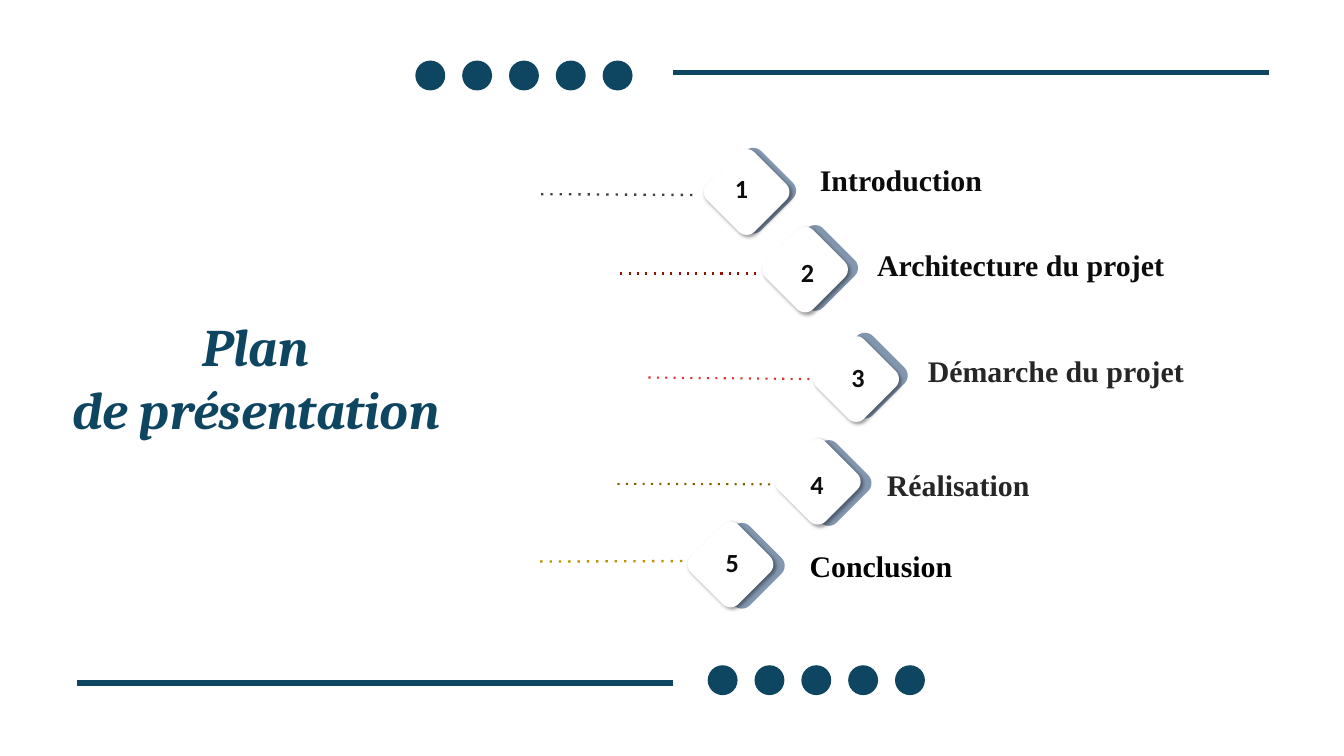
import lxml.etree
import pptx
import pptx.dml.color
import pptx.enum.shapes
import pptx.enum.text
import pptx.oxml
import pptx.oxml.ns
import pptx.util
from collections import namedtuple

Cm = pptx.util.Cm
Pt = pptx.util.Pt
RGBColor = pptx.dml.color.RGBColor
qn = pptx.oxml.ns.qn
SHAPES = pptx.enum.shapes.MSO_SHAPE

NAVY = RGBColor(0x0E, 0x45, 0x61)
SLATE = RGBColor(0x82, 0x96, 0xB0)
WHITE = RGBColor(0xFF, 0xFF, 0xFF)
BLACK = RGBColor(0x00, 0x00, 0x00)
INK = RGBColor(0x0C, 0x0C, 0x0C)
CHARCOAL = RGBColor(0x26, 0x26, 0x26)
GRAY = RGBColor(0x3F, 0x3F, 0x3F)
MAROON = RGBColor(0x94, 0x11, 0x00)
RED = RGBColor(0xD4, 0x38, 0x2D)
OLIVE = RGBColor(0x7F, 0x60, 0x00)
GOLD = RGBColor(0xBF, 0x90, 0x00)

NARROW = (0.25, 0.13)
WIDE = (0.33, 0.18)
TILE = 2.54

SHADOW = (
    '<a:outerShdw xmlns:a="http://schemas.openxmlformats.org/drawingml/2006/main" '
    'blurRad="50800" dist="38100" dir="2700000" algn="tl" rotWithShape="0">'
    '<a:srgbClr val="000000"><a:alpha val="40000"/></a:srgbClr></a:outerShdw>'
)

Step = namedtuple(
    "Step", "label color back front leader leader_color leader_width number box insets spacing"
)
STEPS = [
    Step("Introduction", INK, (27.2, 5.94), (26.95, 5.99), (20.45, 7.34, 26.29, 7.37),
         GRAY, 2.5, (27.53, 6.38), (30.66, 6.2, 20.02, 2.06), WIDE, 0.8),
    Step("Architecture du projet", INK, (29.54, 8.86), (29.16, 8.92), (23.44, 10.34, 28.78, 10.34),
         MAROON, 2.25, (30.02, 9.55), (32.82, 9.42, 18.49, 1.42), WIDE, 0.8),
    Step("Démarche du projet", CHARCOAL, (31.42, 12.93), (31.09, 13.06), (24.51, 14.27, 30.66, 14.33),
         RED, 2.25, (31.93, 13.54), (34.82, 13.21, 16.94, 1.63), NARROW, None),
    Step("Réalisation", CHARCOAL, (30.05, 16.99), (29.64, 16.94), (23.34, 18.29, 29.29, 18.31),
         OLIVE, 2.25, (30.38, 17.58), (33.27, 17.5, 16.94, 1.63), NARROW, None),
    Step("Conclusion", BLACK, (26.77, 20.12), (26.34, 20.07), (20.42, 21.23, 25.81, 21.21),
         GOLD, 2.5, (27.18, 20.52), (30.35, 20.57, 16.41, 1.63), NARROW, None),
]


class PlanSlide:
    def __init__(self, slide):
        self.slide = slide

    def line(self, x1, y1, x2, y2, color, width, dash=None):
        connector = self.slide.shapes.add_connector(
            pptx.enum.shapes.MSO_CONNECTOR.STRAIGHT, Cm(x1), Cm(y1), Cm(x2), Cm(y2)
        )
        connector.line.color.rgb = color
        connector.line.width = Pt(width)
        properties = connector._element.spPr
        if dash:
            outline = properties.find(qn("a:ln"))
            lxml.etree.SubElement(outline, qn("a:prstDash"), val=dash)
        lxml.etree.SubElement(properties, qn("a:effectLst"))

    def shape(self, kind, left, top, size, color):
        shape = self.slide.shapes.add_shape(kind, Cm(left), Cm(top), Cm(size), Cm(size))
        shape.shadow.inherit = False
        shape.fill.solid()
        shape.fill.fore_color.rgb = color
        shape.line.fill.background()
        return shape

    def dots(self, left, top, count=5, size=1.13, pitch=1.77):
        for index in range(count):
            self.shape(SHAPES.OVAL, left + index * pitch, top, size, NAVY)

    def diamond(self, left, top, color, shadow=False):
        shape = self.shape(SHAPES.ROUNDED_RECTANGLE, left, top, TILE, color)
        shape.rotation = 45
        if shadow:
            effects = shape._element.spPr.find(qn("a:effectLst"))
            effects.append(pptx.oxml.parse_xml(SHADOW))

    def text(self, text, box, font, size, color, insets=NARROW, spacing=None, italic=False):
        text_box = self.slide.shapes.add_textbox(*map(Cm, box))
        text_frame = text_box.text_frame
        text_frame.word_wrap = True
        text_frame.margin_left = text_frame.margin_right = Cm(insets[0])
        text_frame.margin_top = text_frame.margin_bottom = Cm(insets[1])
        text_frame.text = text
        paragraph = text_frame.paragraphs[0]
        if spacing:
            paragraph.line_spacing = spacing
        for run in paragraph.runs:
            run.font.name = font
            run.font.size = Pt(size)
            run.font.bold = True
            run.font.italic = italic
            run.font.color.rgb = color
        return paragraph

    def title(self, text, box):
        paragraph = self.text(text, box, "Cambria", 56.5, NAVY, insets=(0, 0.05), italic=True)
        paragraph.alignment = pptx.enum.text.PP_ALIGN.CENTER
        paragraph.space_before = Pt(1.3)

    def step(self, number, step):
        self.line(*step.leader, step.leader_color, step.leader_width, dash="dot")
        self.diamond(*step.back, SLATE)
        self.diamond(*step.front, WHITE, shadow=True)
        self.text(str(number), (*step.number, 0.84, 1.45), "Calibri", 28, INK)
        self.text(step.label, step.box, "Times New Roman", 32, step.color,
                  step.insets, step.spacing)


def main():
    presentation = pptx.Presentation()
    presentation.slide_width = Cm(50.8)
    presentation.slide_height = Cm(28.58)
    plan = PlanSlide(presentation.slides.add_slide(presentation.slide_layouts[6]))

    plan.line(25.45, 2.74, 47.98, 2.74, NAVY, 6)
    plan.line(2.9, 25.83, 25.45, 25.83, NAVY, 6)
    plan.dots(26.75, 25.15)
    plan.dots(15.7, 2.29)
    plan.title("Plan\vde présentation", (1.88, 11.81, 15.6, 4.88))
    for number, step in enumerate(STEPS, start=1):
        plan.step(number, step)

    presentation.save("out.pptx")


if __name__ == "__main__":
    main()
